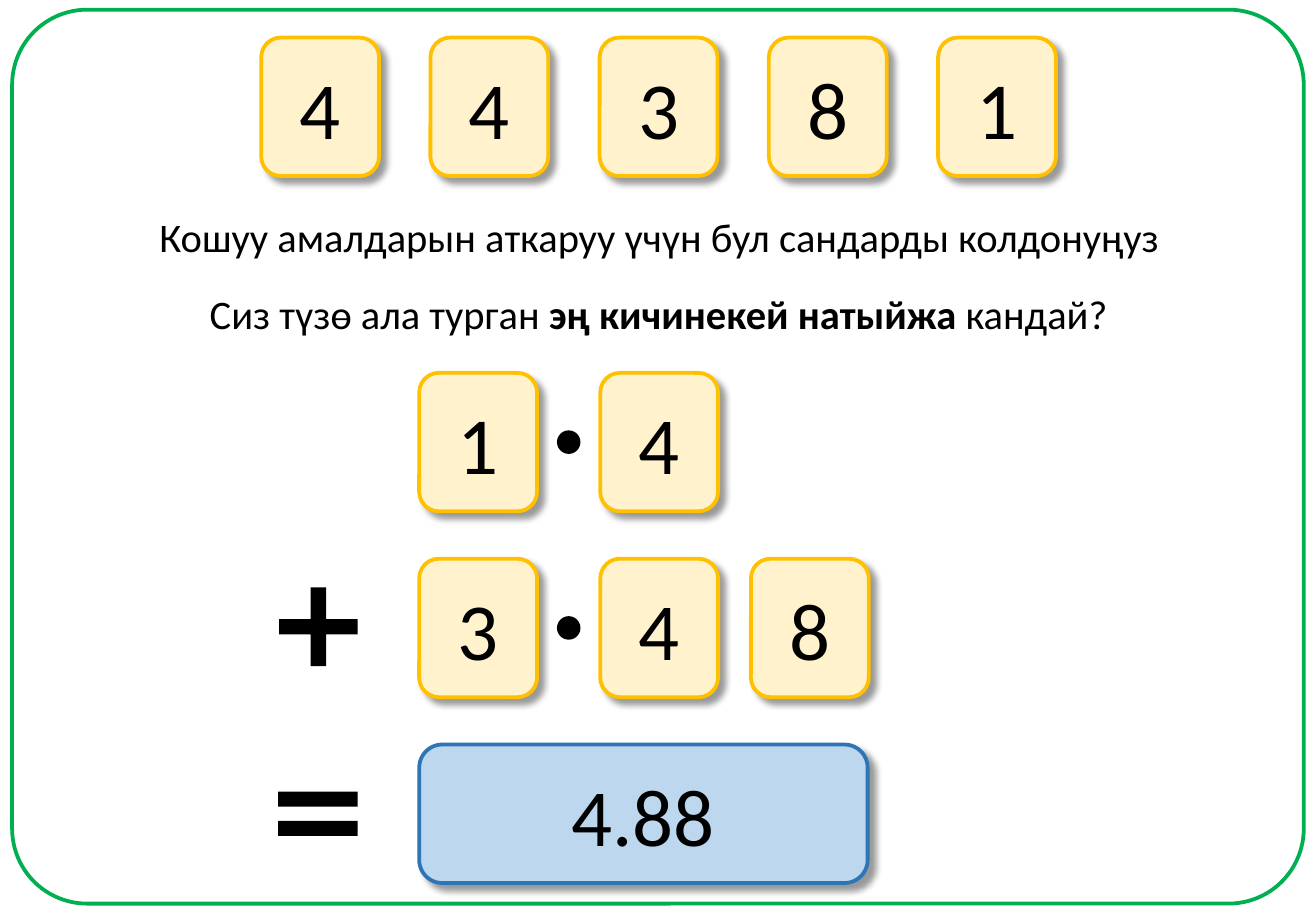
from dataclasses import dataclass
from lxml.etree import SubElement
from pptx import Presentation
from pptx.dml.color import RGBColor
from pptx.enum.shapes import MSO_SHAPE
from pptx.enum.text import MSO_ANCHOR, MSO_AUTO_SIZE, PP_ALIGN
from pptx.oxml.ns import qn
from pptx.util import Inches, Pt


@dataclass(frozen=True)
class Theme:
    font: str = "Calibri"
    ink: str = "000000"
    frame: str = "00B050"
    card: str = "FFF2CC"
    edge: str = "FFC000"
    total: str = "BDD7EE"
    rim: str = "2E75B6"
    digit: int = 48
    prompt: int = 24
    line: float = 2.25


THEME = Theme()
CARD_W, CARD_H = 0.97, 1.14
ONES, TENTHS, CENTS = 3.45, 4.94, 6.18
TOP_ROW, FIRST, SECOND, RESULT = 0.31, 3.07, 4.6, 6.13


def add_shape(slide, kind, box, fill=None, line=None, width=THEME.line, adjust=()):
    shape = slide.shapes.add_shape(kind, *[Inches(v) for v in box])
    shape.shadow.inherit = False
    for i, value in enumerate(adjust):
        shape.adjustments[i] = value
    if fill:
        shape.fill.solid()
        shape.fill.fore_color.rgb = RGBColor.from_string(fill)
    else:
        shape.fill.background()
    if line:
        shape.line.color.rgb = RGBColor.from_string(line)
        shape.line.width = Pt(width)
    else:
        shape.line.fill.background()
    return shape


def add_shadow(shape):
    effects = shape._element.spPr.find(qn("a:effectLst"))
    outer = SubElement(effects, qn("a:outerShdw"), blurRad=str(Pt(4)),
                       dist=str(Pt(5)), dir=str(45 * 60000),
                       algn="tl", rotWithShape="0")
    color = SubElement(outer, qn("a:srgbClr"), val=THEME.ink)
    SubElement(color, qn("a:alpha"), val="40000")


def add_run(para, text, size, bold=False):
    run = para.add_run()
    run.text = text
    run.font.name = THEME.font
    run.font.size = Pt(size)
    run.font.bold = bold
    run.font.color.rgb = RGBColor.from_string(THEME.ink)


def add_card(slide, text, left, top, width=CARD_W, fill=THEME.card, line=THEME.edge):
    card = add_shape(slide, MSO_SHAPE.ROUNDED_RECTANGLE,
                     (left, top, width, CARD_H), fill, line)
    add_shadow(card)
    frame = card.text_frame
    frame.vertical_anchor = MSO_ANCHOR.MIDDLE
    frame.margin_left = frame.margin_right = Inches(0.11)
    para = frame.paragraphs[0]
    para.alignment = PP_ALIGN.CENTER
    add_run(para, text, THEME.digit)


def add_point(slide, top):
    add_shape(slide, MSO_SHAPE.OVAL, (4.59, top + 0.48, 0.18, 0.18),
              THEME.ink, THEME.ink, 1)


def add_prompt(slide, box, runs):
    frame = slide.shapes.add_textbox(*[Inches(v) for v in box]).text_frame
    frame.word_wrap = False
    frame.auto_size = MSO_AUTO_SIZE.SHAPE_TO_FIT_TEXT
    para = frame.paragraphs[0]
    para.alignment = PP_ALIGN.CENTER
    for text, bold in runs:
        add_run(para, text, THEME.prompt, bold)


def main():
    deck = Presentation()
    deck.slide_width, deck.slide_height = Inches(10.83), Inches(7.5)
    slide = deck.slides.add_slide(deck.slide_layouts[6])

    add_shape(slide, MSO_SHAPE.ROUNDED_RECTANGLE, (0.1, 0.08, 10.63, 7.36),
              line=THEME.frame, adjust=[0.084])
    for i, digit in enumerate("44381"):
        add_card(slide, digit, 2.15 + i * 1.3925, TOP_ROW)

    add_prompt(slide, (1.17, 1.7, 8.51, 0.5),
               [("Кошуу амалдарын аткаруу үчүн бул сандарды колдонуңуз", False)])
    add_prompt(slide, (1.59, 2.33, 7.66, 0.5),
               [("Сиз түзө ала турган ", False),
                ("эң кичинекей натыйжа ", True),
                ("кандай?", False)])

    for digits, top in (("14", FIRST), ("348", SECOND)):
        for digit, left in zip(digits, (ONES, TENTHS, CENTS)):
            add_card(slide, digit, left, top)
        add_point(slide, top)

    add_shape(slide, MSO_SHAPE.MATH_PLUS, (2.18, 4.72, 0.88, 0.88),
              THEME.ink, adjust=[0.144])
    add_shape(slide, MSO_SHAPE.MATH_EQUAL, (2.17, 6.2, 0.89, 1),
              THEME.ink, adjust=[0.123, 0.118])
    add_card(slide, "4.88", ONES, RESULT, 3.69, THEME.total, THEME.rim)

    deck.save("out.pptx")


if __name__ == "__main__":
    main()
